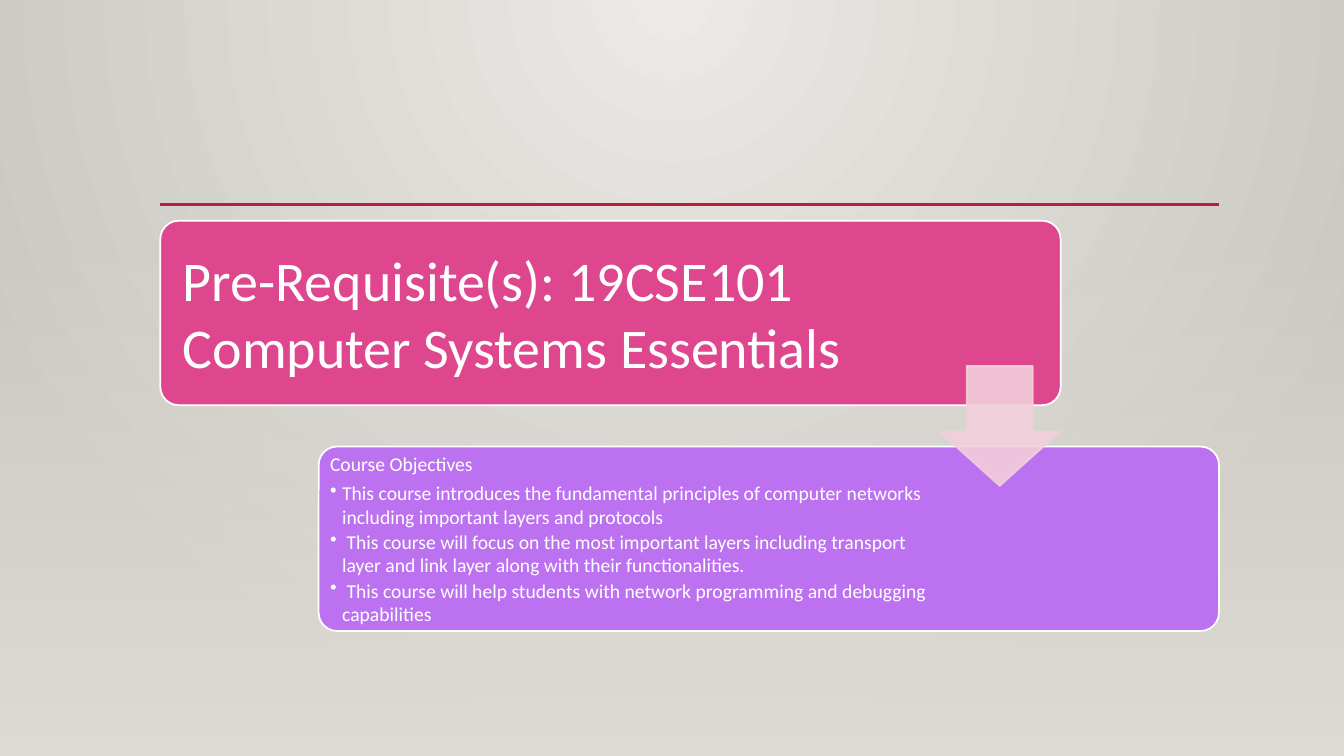
from dataclasses import dataclass
from typing import Any

from lxml import etree
from pptx import Presentation
from pptx.dml.color import RGBColor
from pptx.enum.shapes import MSO_CONNECTOR, MSO_SHAPE
from pptx.enum.text import MSO_ANCHOR, MSO_AUTO_SIZE, PP_ALIGN
from pptx.oxml.ns import qn
from pptx.util import Emu, Inches, Pt

RECTANGLE = MSO_SHAPE.RECTANGLE
ROUNDED = MSO_SHAPE.ROUNDED_RECTANGLE
DOWN_ARROW = MSO_SHAPE.DOWN_ARROW
STRAIGHT = MSO_CONNECTOR.STRAIGHT
MIDDLE = MSO_ANCHOR.MIDDLE
LEFT = PP_ALIGN.LEFT
NO_AUTOFIT = MSO_AUTO_SIZE.NONE

SLIDE_WIDTH = Inches(13.33)
SLIDE_HEIGHT = Inches(7.5)


@dataclass(frozen=True)
class Theme:
    font: str = "Calibri"
    heading_size: int = 40
    body_size: int = 14
    outline_width: float = 1.25
    rule_width: float = 2.5
    text: str = "FFFFFF"
    rule: str = "B71E42"
    arrow: str = "F2CFDB"
    arrow_opacity: int = 90
    prerequisite: str = "DE478E"
    objectives: str = "BC72F0"
    glow: str = "ECEAE7"
    edge: str = "CAC7C1"
    floor: str = "DFDBD5"


THEME = Theme()


@dataclass(frozen=True)
class Area:
    """Percentages of the slide's width and height."""

    left: float
    top: float
    width: float
    height: float

    def lengths(self) -> tuple[Emu, Emu, Emu, Emu]:
        return (across(self.left), down(self.top), across(self.width), down(self.height))


@dataclass(frozen=True)
class Card:
    color: str
    text_width: float
    inset: float
    size: int
    heading: str
    bullets: tuple[str, ...] = ()


CARD_LEFT, CARD_TOP, CARD_WIDTH, CARD_HEIGHT = 11.93, 29.2, 66.99, 24.4
STEP_ACROSS, STEP_DOWN = 11.78, 29.87
PADDING_ACROSS, PADDING_DOWN = 0.4, 0.72
RULE_TOP = 27.07
FLOOR_TOP = 29.47
ARROW_AREA = Area(69.92, 48.4, 8.93, 15.87)

CARDS = (
    Card(THEME.prerequisite, 52.74, 0.17, THEME.heading_size,
         "Pre-Requisite(s): 19CSE101 Computer Systems Essentials"),
    Card(THEME.objectives, 45.39, 0.06, THEME.body_size, "Course Objectives", (
        "This course introduces the fundamental principles of computer networks "
        "including important layers and protocols",
        " This course will focus on the most important layers including transport "
        "layer and link layer along with their functionalities.",
        " This course will help students with network programming and debugging capabilities",
    )),
)


def across(share: float) -> Emu:
    return Emu(round(SLIDE_WIDTH * share / 100))


def down(share: float) -> Emu:
    return Emu(round(SLIDE_HEIGHT * share / 100))


def set_attributes(target: Any, values: dict[str, Any]) -> None:
    for name, value in values.items():
        setattr(target, name, value)


def set_opacity(color: Any, percent: int) -> None:
    etree.SubElement(color, qn("a:alpha"), val=str(percent * 1000))


def write_gradient(gradient: Any, start: str, end: str, start_opacity: int = 100) -> None:
    for child in list(gradient):
        gradient.remove(child)
    stops = etree.SubElement(gradient, qn("a:gsLst"))
    for position, value, opacity in ((0, start, start_opacity), (100, end, 100)):
        stop = etree.SubElement(stops, qn("a:gs"), pos=str(position * 1000))
        color = etree.SubElement(stop, qn("a:srgbClr"), val=value)
        if opacity < 100:
            set_opacity(color, opacity)


def write_glow(gradient: Any) -> None:
    write_gradient(gradient, THEME.glow, THEME.edge)
    circle = etree.SubElement(gradient, qn("a:path"), path="circle")
    etree.SubElement(circle, qn("a:fillToRect"), l="43000", t="0", r="43000", b="100000")


def write_fade(gradient: Any) -> None:
    write_gradient(gradient, THEME.floor, THEME.floor, start_opacity=0)
    etree.SubElement(gradient, qn("a:lin"), ang="5400000", scaled="0")


def add_gradient_panel(shapes: Any, area: Area) -> Any:
    shape = shapes.add_shape(RECTANGLE, *area.lengths())
    shape.shadow.inherit = False
    shape.line.fill.background()
    shape.fill.gradient()
    return shape.element.spPr.find(qn("a:gradFill"))


def add_rule(shapes: Any) -> None:
    right = CARD_LEFT + STEP_ACROSS + CARD_WIDTH
    rule = shapes.add_connector(
        STRAIGHT, across(CARD_LEFT), down(RULE_TOP), across(right), down(RULE_TOP))
    rule.line.color.rgb = RGBColor.from_string(THEME.rule)
    rule.line.width = Pt(THEME.rule_width)
    etree.SubElement(rule.element.spPr, qn("a:effectLst"))


def add_outlined(shapes: Any, kind: Any, area: Area, fill: str, line: str,
                 adjustments: tuple[float, ...]) -> Any:
    shape = shapes.add_shape(kind, *area.lengths())
    shape.shadow.inherit = False
    shape.fill.solid()
    shape.fill.fore_color.rgb = RGBColor.from_string(fill)
    shape.line.color.rgb = RGBColor.from_string(line)
    shape.line.width = Pt(THEME.outline_width)
    for index, value in enumerate(adjustments):
        shape.adjustments[index] = value
    return shape


def add_bullet(paragraph: Any) -> None:
    properties = paragraph._p.get_or_add_pPr()
    properties.set("marL", str(Inches(0.12)))
    properties.set("indent", str(-Inches(0.12)))
    etree.SubElement(properties, qn("a:buChar"), char="•")


def add_card(shapes: Any, card: Card, index: int) -> None:
    left = CARD_LEFT + index * STEP_ACROSS
    top = CARD_TOP + index * STEP_DOWN
    add_outlined(shapes, ROUNDED, Area(left, top, CARD_WIDTH, CARD_HEIGHT),
                 card.color, THEME.text, (0.1,))
    text_area = Area(left + PADDING_ACROSS, top + PADDING_DOWN,
                     card.text_width, CARD_HEIGHT - 2 * PADDING_DOWN)
    frame = shapes.add_textbox(*text_area.lengths()).text_frame
    inset = Inches(card.inset)
    set_attributes(frame, {
        "word_wrap": True, "auto_size": NO_AUTOFIT, "vertical_anchor": MIDDLE,
        "margin_left": inset, "margin_right": inset,
        "margin_top": inset, "margin_bottom": inset,
    })
    for position, text in enumerate((card.heading, *card.bullets)):
        paragraph = frame.add_paragraph() if position else frame.paragraphs[0]
        paragraph.text = text
        if position:
            add_bullet(paragraph)
        set_attributes(paragraph, {
            "alignment": LEFT, "level": min(position, 1),
            "space_after": Pt(1.2 if position else 4),
        })
        set_attributes(paragraph.runs[0].font, {"name": THEME.font, "size": Pt(card.size)})
        paragraph.runs[0].font.color.rgb = RGBColor.from_string(THEME.text)


def add_arrow(shapes: Any) -> None:
    arrow = add_outlined(shapes, DOWN_ARROW, ARROW_AREA, THEME.arrow, THEME.arrow, (0.55, 0.45))
    for color in arrow.element.spPr.iter(qn("a:srgbClr")):
        set_opacity(color, THEME.arrow_opacity)


def main() -> None:
    presentation = Presentation()
    set_attributes(presentation, {"slide_width": SLIDE_WIDTH, "slide_height": SLIDE_HEIGHT})
    slide = presentation.slides.add_slide(presentation.slide_layouts[6])
    write_glow(add_gradient_panel(slide.shapes, Area(0, 0, 100, 100)))
    add_rule(slide.shapes)
    write_fade(add_gradient_panel(slide.shapes, Area(0, FLOOR_TOP, 100, 100 - FLOOR_TOP)))
    diagram = slide.shapes.add_group_shape().shapes
    for index, card in enumerate(CARDS):
        add_card(diagram, card, index)
    add_arrow(diagram)
    presentation.save("out.pptx")


if __name__ == "__main__":
    main()
